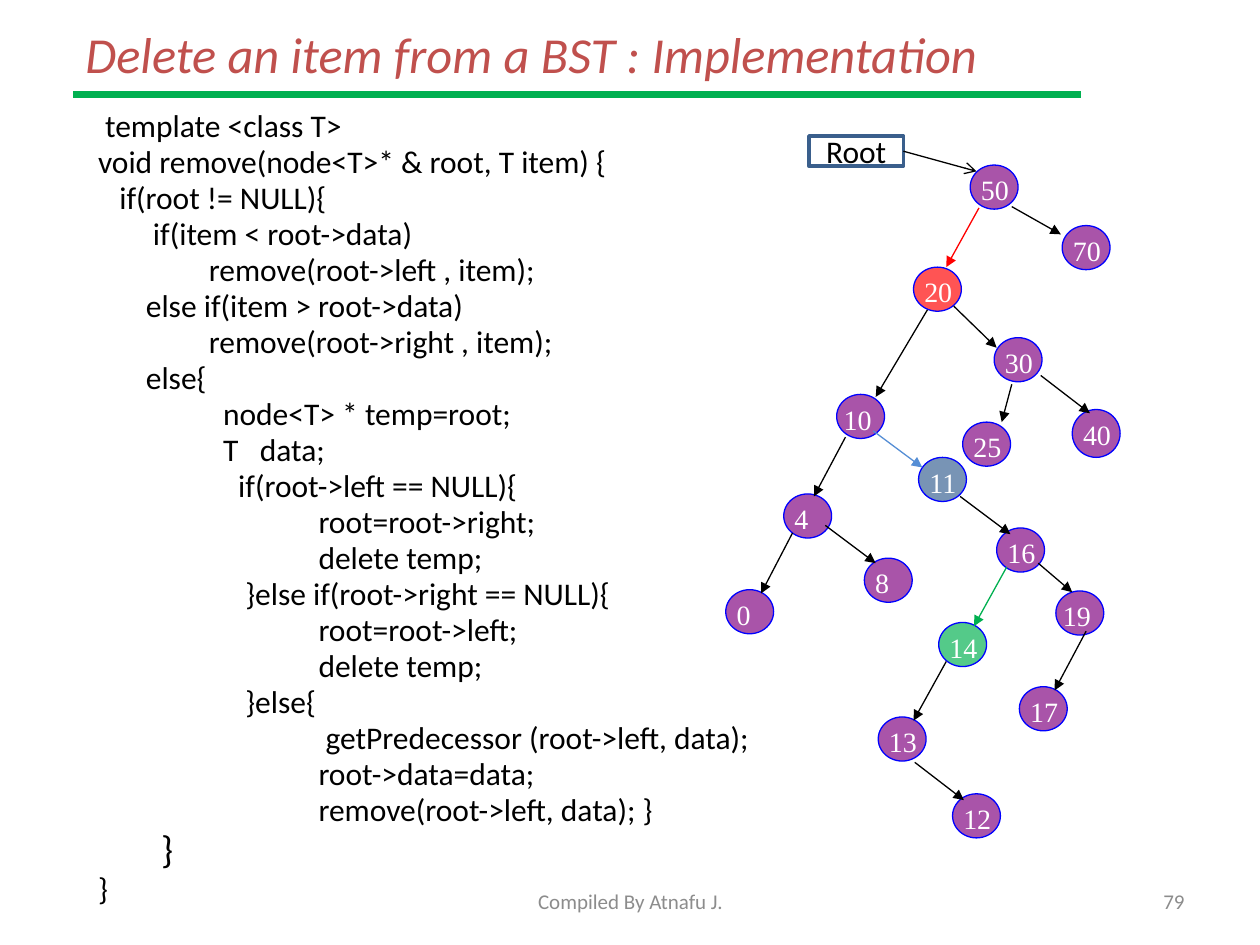
from dataclasses import dataclass

from lxml import etree
from pptx import Presentation
from pptx.dml.color import RGBColor
from pptx.enum.shapes import MSO_CONNECTOR, MSO_SHAPE
from pptx.enum.text import MSO_ANCHOR, PP_ALIGN
from pptx.oxml.ns import qn
from pptx.util import Pt

PX = 9144  # EMU per px, at 100 px to the inch
STRAIGHT = MSO_CONNECTOR.STRAIGHT
OVAL, RECT = MSO_SHAPE.OVAL, MSO_SHAPE.RECTANGLE
LEFT, CENTER, RIGHT = PP_ALIGN.LEFT, PP_ALIGN.CENTER, PP_ALIGN.RIGHT
TOP, MIDDLE = MSO_ANCHOR.TOP, MSO_ANCHOR.MIDDLE


@dataclass(frozen=True)
class Theme:
    font: str = "Calibri"
    node_font: str = "Times New Roman"
    title: str = "C0504D"
    ink: str = "000000"
    muted: str = "8C8C8C"
    white: str = "FFFFFF"
    green: str = "00B050"
    red: str = "FF0000"
    purple: str = "800080"
    blue: str = "376092"
    light_blue: str = "558ED5"
    node_line: str = "0000FF"
    root_line: str = "3A5F8C"
    title_size: float = 28.8
    code_size: float = 18
    brace_size: float = 22
    node_size: float = 16
    footer_size: float = 12


T = Theme()

# Indent level of each line (0, 1 or 2) and the code on it
CODE = [
    (0, " template <class T>"),
    (0, "void remove(node<T>* & root, T item) {"),
    (0, "   if(root != NULL){"),
    (0, "  \t if(item < root->data)"),
    (0, "\t\tremove(root->left , item);"),
    (0, "\telse if(item > root->data)"),
    (0, "\t\tremove(root->right , item);"),
    (0, "\telse{"),
    (0, "\t\t  node<T> * temp=root;"),
    (0, "   \t\t  T   data;"),
    (2, "  if(root->left == NULL){"),
    (2, "  \t\troot=root->right;"),
    (2, "\t\tdelete temp;"),
    (2, "   }else if(root->right == NULL){"),
    (2, "  \t\troot=root->left;"),
    (2, "\t\tdelete temp;"),
    (2, "   }else{"),
    (2, "\t\t getPredecessor (root->left, data);"),
    (2, "\t\troot->data=data;"),
    (2, "\t\tremove(root->left, data); }"),
    (1, "}"),
    (0, "}"),
]
LEVELS = [(38, -38), (81, -31), (125, -25)]  # left margin, first-line indent

# Key: left and top within the tree
NODES = {
    50: (195, 23), 70: (268, 71), 20: (150, 104), 30: (214, 160),
    10: (89, 205), 25: (189, 227), 40: (276, 217), 11: (154, 255),
    4: (47, 284), 8: (111, 335), 0: (1, 360), 16: (216, 311),
    14: (170, 386), 19: (263, 361), 17: (234, 437), 13: (122, 461),
    12: (181, 522),
}
NODE_FILLS = {20: T.red, 11: T.blue, 14: T.green}
NODE_INSETS = {10: 0, 19: 0}
NODE_HEIGHTS = {40: 38}

# Parent and child: start and end within the tree
EDGES = {
    (50, 20): (202, 57, 176, 104), (50, 70): (228, 56, 267, 78),
    (20, 10): (161, 138, 120, 207), (20, 30): (182, 135, 216, 168),
    (30, 25): (228, 197, 220, 227), (30, 40): (251, 190, 290, 220),
    (10, 4): (96, 239, 71, 286), (10, 11): (118, 234, 157, 263),
    (4, 0): (54, 315, 29, 363), (4, 8): (80, 309, 120, 339),
    (11, 16): (187, 286, 227, 316), (16, 14): (224, 342, 198, 389),
    (16, 19): (249, 339, 276, 362), (19, 17): (287, 393, 262, 440),
    (14, 13): (176, 417, 150, 464), (13, 12): (151, 497, 190, 527),
}
EDGE_COLORS = {(50, 20): T.red, (10, 11): T.light_blue, (16, 14): T.green}


def emu(*lengths):
    return [v * PX for v in lengths]


def rgb(color):
    return RGBColor.from_string(color)


def write(p, text, size, color=T.ink, font=T.font, italic=False, align=LEFT):
    p.alignment = align
    r = p.add_run()
    r.text = text
    f = r.font
    f.size, f.name, f.italic = Pt(size), font, italic
    f.color.rgb = rgb(color)


def frame(sp, anchor=TOP, insets=(10, 5, 10, 5), wrap=True):
    tf = sp.text_frame
    tf.word_wrap = wrap
    tf.vertical_anchor = anchor
    (tf.margin_left, tf.margin_top,
     tf.margin_right, tf.margin_bottom) = emu(*insets)
    return tf


def add_label(s, box, text, size, **style):
    tf = frame(s.shapes.add_textbox(*emu(*box)), MIDDLE)
    write(tf.paragraphs[0], text, size, **style)


def add_outlined(s, kind, box, line, width, fill=None, alpha=100):
    """Add a shape with an outline and, if asked, a translucent fill."""
    sp = s.shapes.add_shape(kind, *emu(*box))
    sp.shadow.inherit = False
    sp.line.color.rgb, sp.line.width = rgb(line), Pt(width)
    if fill is None:
        sp.fill.background()
    else:
        sp.fill.solid()
        sp.fill.fore_color.rgb = rgb(fill)
        clr = sp._element.spPr.find(qn("a:solidFill"))[0]
        etree.SubElement(clr, qn("a:alpha"), val=str(alpha * 1000))
    return sp


def add_line(s, ends, color, width=0.75, head=None):
    cx = s.shapes.add_connector(STRAIGHT, *emu(*ends))
    cx.line.color.rgb, cx.line.width = rgb(color), Pt(width)
    if head:
        etree.SubElement(cx.line._get_or_add_ln(), qn("a:tailEnd"), type=head)
    etree.SubElement(cx._element.spPr, qn("a:effectLst"))
    return cx


def add_header(s, x, y, w, h):
    add_label(s, (x, y, w, h), "Delete an item from a BST : Implementation",
              T.title_size, color=T.title, italic=True)
    add_line(s, (x, y + 58, x + 800, y + 58), T.green, 4.25)


def add_code(s, x, y, w, h):
    tf = frame(s.shapes.add_textbox(*emu(x, y, w, h)))
    for i, (level, text) in enumerate(CODE):
        p = tf.paragraphs[0] if i == 0 else tf.add_paragraph()
        margin, indent = emu(*LEVELS[level])
        pPr = p._p.get_or_add_pPr()
        pPr.set("marL", str(margin))
        pPr.set("indent", str(indent))
        p.line_spacing = 0.8
        if i:
            p.space_before = Pt(3.3)
        write(p, text, T.brace_size if level == 1 else T.code_size)


def add_node(s, x, y, key):
    sp = add_outlined(s, OVAL, (x, y, 38, NODE_HEIGHTS.get(key, 35)),
                      T.node_line, 0.75, NODE_FILLS.get(key, T.purple), 67)
    tf = frame(sp, insets=(NODE_INSETS.get(key, 3), 1, 0, 0), wrap=False)
    write(tf.paragraphs[0], str(key), T.node_size, T.white, T.node_font)


def add_tree(s, x, y):
    for key, (dx, dy) in NODES.items():
        add_node(s, x + dx, y + dy, key)
    for pair, (x1, y1, x2, y2) in EDGES.items():
        add_line(s, (x + x1, y + y1, x + x2, y + y2),
                 EDGE_COLORS.get(pair, T.ink), head="triangle")
    root = add_outlined(s, RECT, (x + 67, y, 75, 24), T.root_line, 2)
    write(frame(root, MIDDLE, (0, 0, 0, 0)).paragraphs[0], "Root",
          T.code_size, align=CENTER)
    pointer = add_line(s, (x + 142, y + 12, x + 200, y + 28), T.ink,
                       head="arrow")
    pointer.begin_connect(root, 3)


def add_footer(s, x, y, w, h):
    style = {"size": T.footer_size, "color": T.muted}
    add_label(s, (x, y, 317, h), "Compiled By Atnafu J.", align=CENTER, **style)
    add_label(s, (x + w - 233, y, 233, h), "79", align=RIGHT, **style)


def main():
    prs = Presentation()
    prs.slide_width, prs.slide_height = emu(1000, 750)
    s = prs.slides.add_slide(prs.slide_layouts[6])
    add_header(s, 58, 17, 900, 50)
    add_code(s, 68, 85, 850, 617)
    add_tree(s, 575, 108)
    add_footer(s, 342, 695, 608, 40)
    prs.save("out.pptx")


if __name__ == "__main__":
    main()
